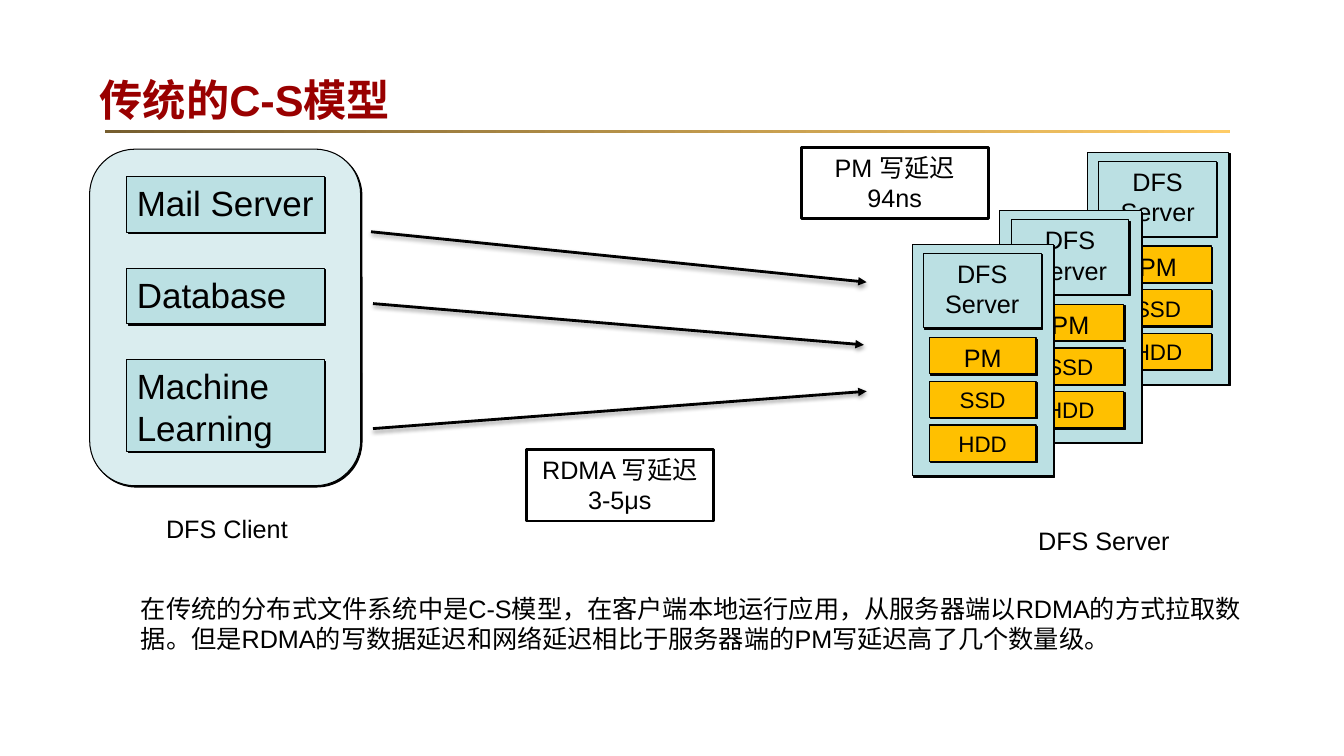
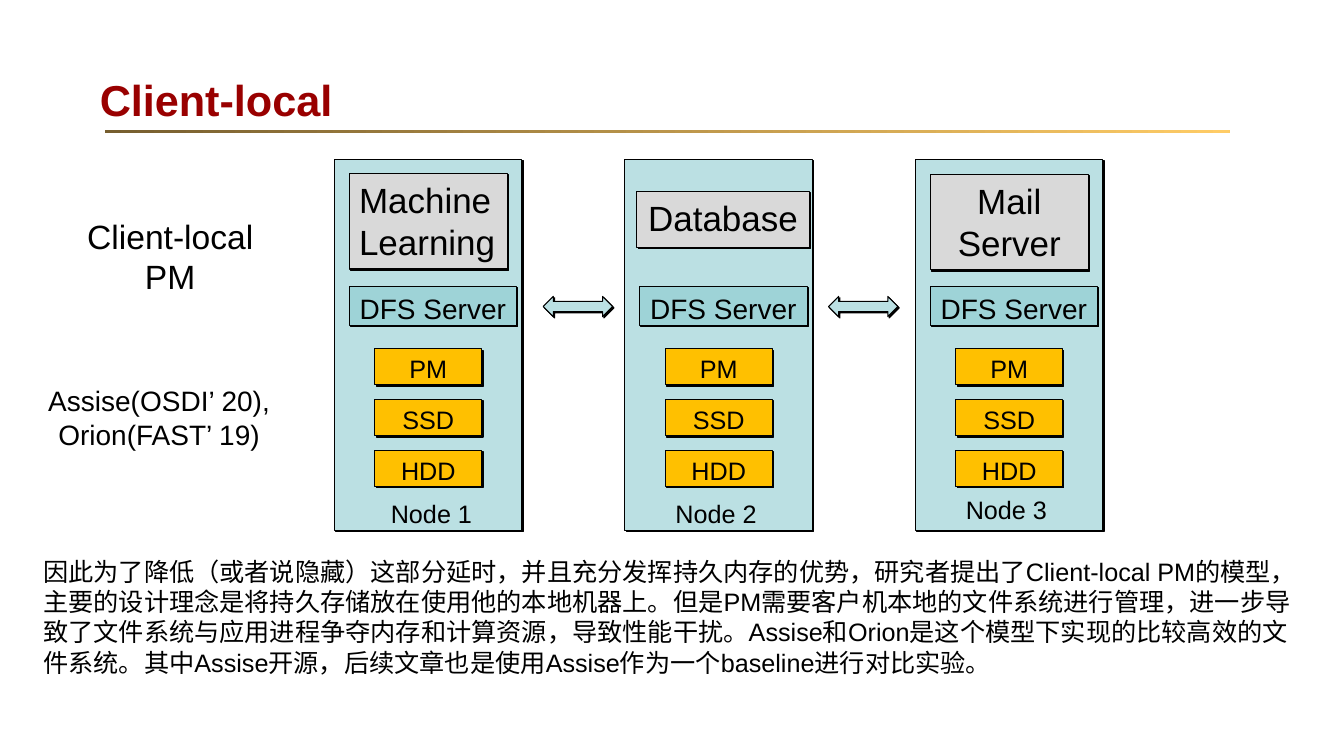
from lxml import etree
from pptx import Presentation
from pptx.dml.color import RGBColor
from pptx.enum import shapes, text
from pptx.oxml import ns
from pptx.util import Cm, Pt

# Shared look; all lengths are in cm
FONT = "Arial"
COLORS = {
    "title": "990000", "rule_from": "765E2F", "rule_to": "FFCC66",
    "ink": "000000", "white": "FFFFFF", "client": "DAEDEF",
    "server": "BBE0E3", "dfs": "9ED3D7", "disk": "FFC000", "app": "D9D9D9",
}
LEFT, CENTER = text.PP_ALIGN.LEFT, text.PP_ALIGN.CENTER
KIND = shapes.MSO_SHAPE
TITLE_BOX = (2.26, 1.3, 29.87, 2.41)
RULE_BOX = (2.64, 3.28, 28.35, 0.08)
HARD_SHADOW = {"blur": 0, "dist": 1.4, "angle": 45, "alpha": 100}
SOFT_SHADOW = {"blur": 3.1, "dist": 1.6, "angle": 90, "alpha": 38}
DISK_SIZE = (2.69, 0.91)

# Slide 1: client and servers
CS_TITLE = "传统的C-S模型"
CLIENT_BOX = (2.26, 3.76, 6.83, 8.48)
CLIENT_APPS = [("Mail Server", 1.4), ("Database", 1.4), ("Machine Learning", 2.31)]
APP_LEFT, APP_TOP, APP_WIDTH, APP_PITCH = 3.2, 4.45, 4.98, 2.31
SERVER_CORNERS = [(27.41, 3.84), (25.2, 5.31), (22.99, 6.15)]
SERVER_DISKS = [("PM", 18), ("SSD", 16), ("HDD", 16)]
REQUESTS = [
    ((9.35, 5.84), (21.84, 7.11)),
    ((9.4, 7.65), (21.77, 8.69)),
    ((9.4, 10.8), (21.84, 9.86)),
]
LATENCIES = [
    ("RDMA 写延迟 3-5μs", (13.26, 11.33, 4.72, 1.8)),
    ("PM 写延迟 94ns", (20.19, 3.71, 4.72, 1.8)),
]
CS_TEXTS = [
    ("DFS Client", (3.51, 12.8, 4.42, 1.02), 18, CENTER),
    ("DFS Server", (25.32, 13.11, 5, 1.02), 18, CENTER),
    ("在传统的分布式文件系统中是C-S模型，在客户端本地运行应用，从服务器端以RDMA的方式拉取"
     "数据。但是RDMA的写数据延迟和网络延迟相比于服务器端的PM写延迟高了几个数量级。",
     (3.3, 14.83, 28.5, 1.8), 18, LEFT),
]

# Slide 2: nodes with local storage
LOCAL_TITLE = "Client-local"
NODE_LEFT, NODE_TOP, NODE_PITCH = 8.43, 4.01, 7.32
NODE_SIZE = (4.72, 9.35)
# application, its box within the node, alignment, label, label place in the node
NODES = [
    ("Machine Learning", (0.37, 0.36, 3.99, 2.41), LEFT, "Node 1", (1.17, 8.41)),
    ("Database", (0.3, 0.81, 4.34, 1.42), CENTER, "Node 2", (1.02, 8.41)),
    ("Mail Server", (0.37, 0.38, 3.99, 2.41), CENTER, "Node 3", (1.02, 8.33)),
]
NODE_DISKS = [("PM", 18), ("SSD", 18), ("HDD", 18)]
LINK_LEFTS, LINK_TOP, LINK_SIZE = (13.69, 20.88), 7.47, (1.75, 0.51)
LOCAL_TEXTS = [
    ("Client-local PM", (1.93, 5.31, 4.72, 2.31), 24, CENTER),
    ("Assise(OSDI’ 20), Orion(FAST’ 19)", (0.86, 9.55, 6.3, 1.96), 20, CENTER),
    ("因此为了降低（或者说隐藏）这部分延时，并且充分发挥持久内存的优势，研究者提出了Client-local PM的模型，"
     "主要的设计理念是将持久存储放在使用他的本地机器上。但是PM需要客户机本地的文件系统进行管理，进一步"
     "导致了文件系统与应用进程争夺内存和计算资源，导致性能干扰。Assise和Orion是这个模型下实现的比较高效"
     "的文件系统。其中Assise开源，后续文章也是使用Assise作为一个baseline进行对比实验。",
     (0.84, 13.89, 32.13, 3.33), 18, LEFT),
]


def rgb(name):
    return RGBColor.from_string(COLORS[name])


def cms(values):
    return [Cm(v) for v in values]


def write(sp, words, size, align, color="ink", bold=False, anchor=text.MSO_ANCHOR.TOP):
    tf = sp.text_frame
    tf.word_wrap = True
    tf.vertical_anchor = anchor
    p = tf.paragraphs[0]
    p.alignment = align
    r = p.add_run()
    r.text = words
    for name, value in {"name": FONT, "size": Pt(size), "bold": bold}.items():
        setattr(r.font, name, value)
    r.font.color.rgb = rgb(color)


def add_shadow(sp, blur, dist, angle, alpha):
    effects = etree.SubElement(sp._element.spPr, ns.qn("a:effectLst"))
    outer = etree.SubElement(effects, ns.qn("a:outerShdw"), {
        "blurRad": str(Pt(blur)), "dist": str(Pt(dist)),
        "dir": str(angle * 60000), "algn": "ctr", "rotWithShape": "0"})
    color = etree.SubElement(outer, ns.qn("a:srgbClr"), val=COLORS["ink"])
    etree.SubElement(color, ns.qn("a:alpha"), val=str(alpha * 1000))


def add_box(parent, box, fill, words="", size=18, align=CENTER,
            kind=KIND.RECTANGLE, line=0.75, shadow=HARD_SHADOW):
    sp = parent.shapes.add_shape(kind, *cms(box))
    sp.fill.solid()
    sp.fill.fore_color.rgb = rgb(fill)
    sp.line.color.rgb = rgb("ink")
    sp.line.width = Pt(line)
    if shadow:
        add_shadow(sp, **shadow)
    else:
        sp.shadow.inherit = False
    if words:
        write(sp, words, size, align)
    return sp


def add_text(parent, words, box, size, align):
    sp = parent.shapes.add_textbox(*cms(box))
    write(sp, words, size, align)
    sp.text_frame.auto_size = text.MSO_AUTO_SIZE.SHAPE_TO_FIT_TEXT


def add_disks(parent, disks, left, top, pitch):
    for i, (name, size) in enumerate(disks):
        add_box(parent, (left, top + i * pitch, *DISK_SIZE), "disk", name, size)


def add_request(s, start, end):
    line = s.shapes.add_connector(shapes.MSO_CONNECTOR.STRAIGHT, *cms(start + end))
    line.line.color.rgb = rgb("ink")
    line.line.width = Pt(2)
    ln = line._element.spPr.find(ns.qn("a:ln"))
    etree.SubElement(ln, ns.qn("a:tailEnd"), type="triangle")
    add_shadow(line, **SOFT_SHADOW)


def add_server(s, left, top):
    g = s.shapes.add_group_shape()
    add_box(g, (left, top, 3.56, 5.84), "server")
    add_box(g, (left + 0.28, top + 0.23, 2.97, 1.88), "server", "DFS Server")
    add_disks(g, SERVER_DISKS, left + 0.43, top + 2.36, 1.1)


def add_node(s, left, top, app, app_box, align, label, label_at):
    g = s.shapes.add_group_shape()
    add_box(g, (left, top, *NODE_SIZE), "server")
    x, y, w, h = app_box
    add_box(g, (left + x, top + y, w, h), "app", app, 25, align)
    add_box(g, (left + 0.37, top + 3.2, 4.22, 0.99), "dfs", "DFS Server", 20)
    add_disks(g, NODE_DISKS, left + 1.02, top + 4.78, 1.28)
    x, y = label_at
    add_text(g, label, (left + x, top + y, 2.69, 1.02), 18, LEFT)


def add_slide(prs, title):
    s = prs.slides.add_slide(prs.slide_layouts[5])
    # Gradient rule under the title
    rule = s.shapes.add_shape(KIND.RECTANGLE, *cms(RULE_BOX))
    rule.shadow.inherit = False
    rule.line.fill.background()
    rule.fill.gradient()
    rule.fill.gradient_angle = 0
    for stop, name in zip(rule.fill.gradient_stops, ("rule_from", "rule_to")):
        stop.color.rgb = rgb(name)
    sp = s.shapes.title
    sp.left, sp.top, sp.width, sp.height = cms(TITLE_BOX)
    write(sp, title, 30.9, LEFT, "title", True, text.MSO_ANCHOR.MIDDLE)
    return s


def build_client_server(prs):
    s = add_slide(prs, CS_TITLE)
    add_box(s, CLIENT_BOX, "client", kind=KIND.ROUNDED_RECTANGLE)
    for i, (app, height) in enumerate(CLIENT_APPS):
        box = (APP_LEFT, APP_TOP + i * APP_PITCH, APP_WIDTH, height)
        add_box(s, box, "server", app, 25, LEFT)
    for corner in SERVER_CORNERS:
        add_server(s, *corner)
    for start, end in REQUESTS:
        add_request(s, start, end)
    for words, box in LATENCIES:
        add_box(s, box, "white", words, line=2, shadow=None)
    for item in CS_TEXTS:
        add_text(s, *item)


def build_client_local(prs):
    s = add_slide(prs, LOCAL_TITLE)
    for i, node in enumerate(NODES):
        add_node(s, NODE_LEFT + i * NODE_PITCH, NODE_TOP, *node)
    for left in LINK_LEFTS:
        add_box(s, (left, LINK_TOP, *LINK_SIZE), "server", kind=KIND.LEFT_RIGHT_ARROW)
    for item in LOCAL_TEXTS:
        add_text(s, *item)


def main():
    prs = Presentation()
    prs.slide_width, prs.slide_height = Cm(33.87), Cm(19.05)
    build_client_server(prs)
    build_client_local(prs)
    prs.save("out.pptx")


if __name__ == "__main__":
    main()
